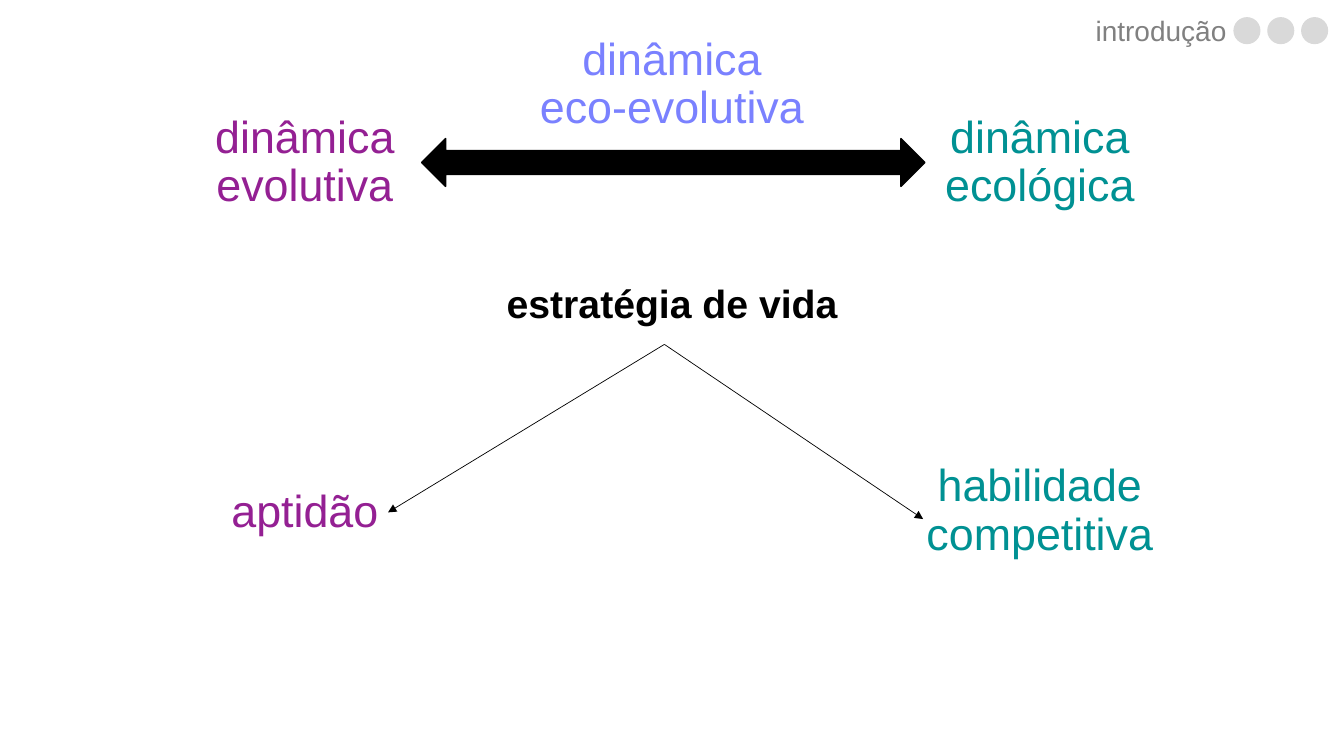
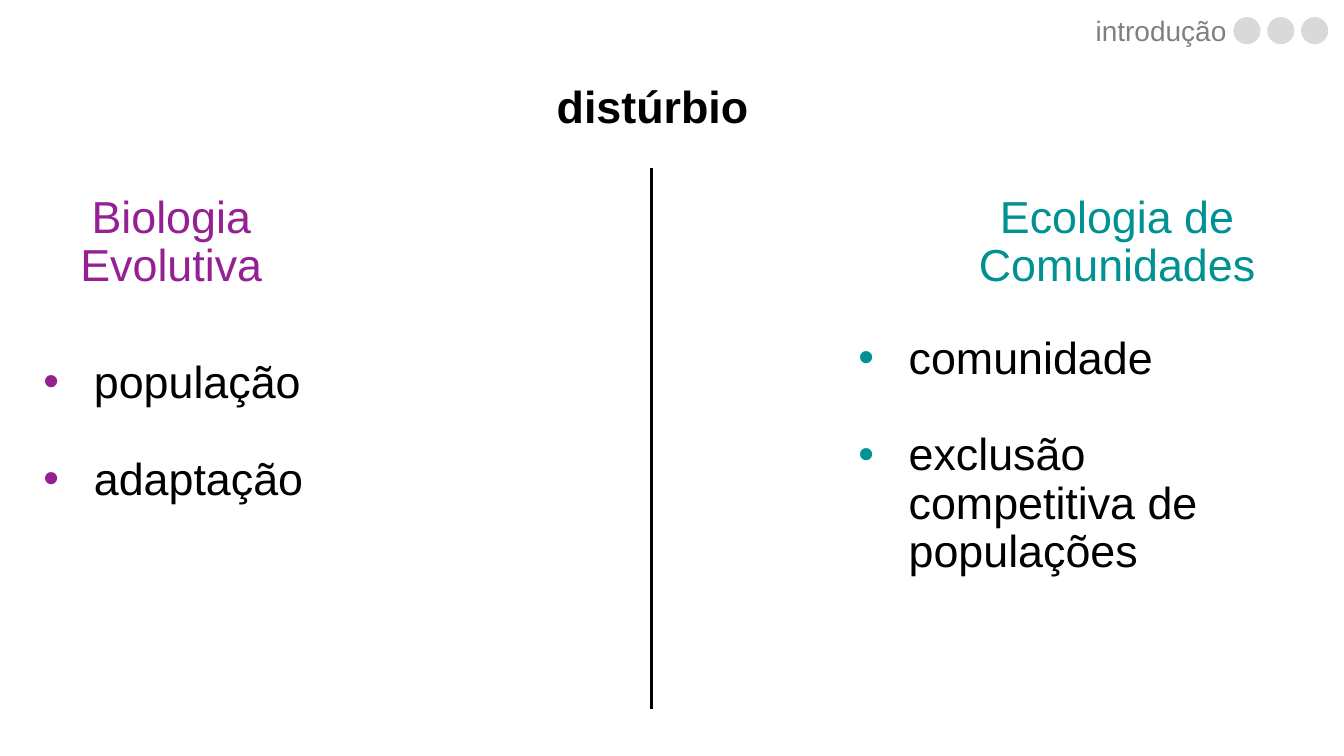
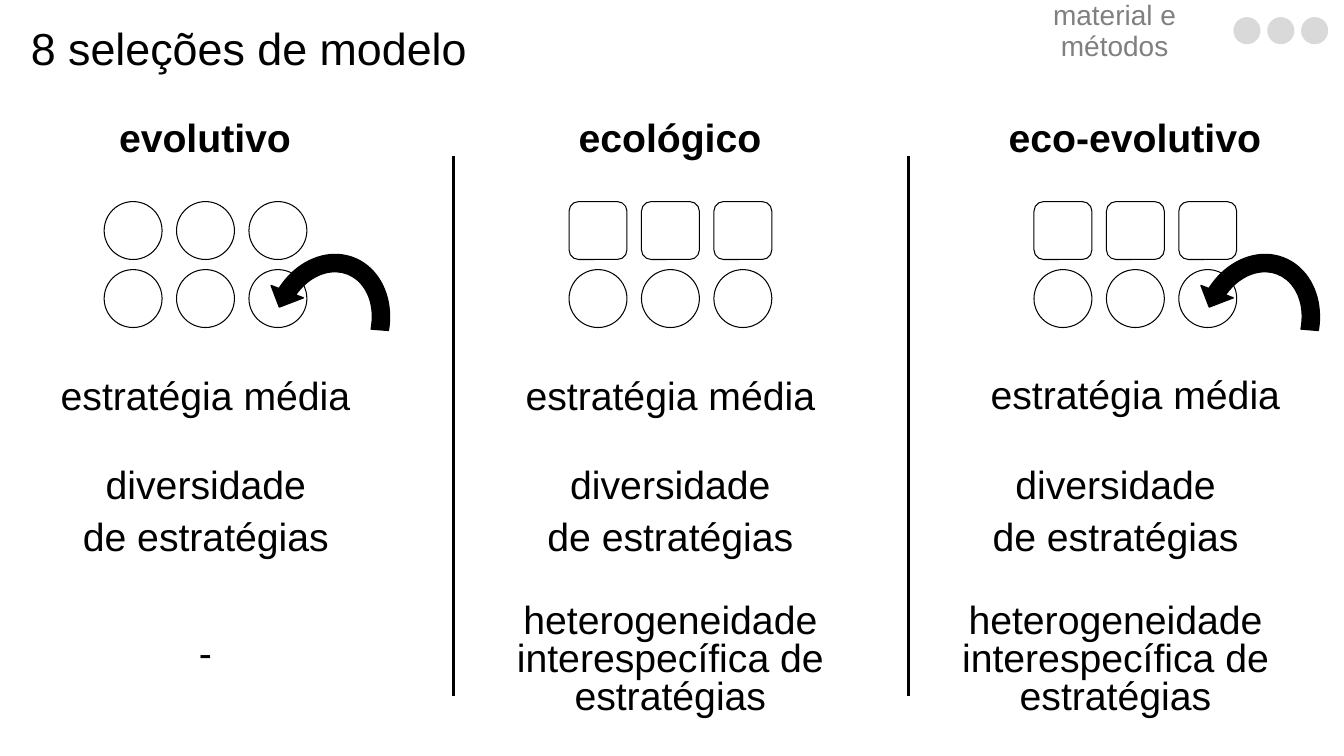
import pptx
import pptx.util
import pptx.dml.color
import pptx.enum.shapes
import pptx.enum.text
import pptx.oxml
import pptx.oxml.ns

HUES = {"ink": "000000", "grey": "808080", "dot": "D9D9D9",
        "evo": "942093", "eco": "009193", "both": "7A81FF"}
KIND = pptx.enum.shapes.MSO_SHAPE
ALIGN = pptx.enum.text.PP_ALIGN
ANCHOR = pptx.enum.text.MSO_ANCHOR
Pt = pptx.util.Pt

deck = pptx.Presentation()
deck.slide_width = pptx.util.Inches(13.3333)
deck.slide_height = pptx.util.Inches(7.5)
# The page is a grid of 160 columns by 90 rows of square cells.
CELL = deck.slide_width / 160


def write(slide, box, lines, hue="ink", size=32, bold=False, align=ALIGN.CENTER,
          anchor=ANCHOR.MIDDLE, lead=0.9, gap=0, dot=None):
    """Set lines of text in a box given in cells; dot is the bullet's hue."""
    frame = slide.shapes.add_textbox(*[round(v * CELL) for v in box]).text_frame
    for name, value in {"word_wrap": True, "vertical_anchor": anchor}.items():
        setattr(frame, name, value)
    for i, words in enumerate(lines):
        para = frame.add_paragraph() if i else frame.paragraphs[0]
        look = {"alignment": align, "line_spacing": lead, "space_before": Pt(gap if i else 0)}
        for name, value in look.items():
            setattr(para, name, value)
        if dot:
            props = para._p.get_or_add_pPr()
            props.set("marL", "457200")
            props.set("indent", "-457200")
            space = pptx.oxml.ns.nsdecls("a")
            for xml in (f'<a:buClr {space}><a:srgbClr val="{HUES[dot]}"/></a:buClr>',
                        f'<a:buFont {space} typeface="Arial"/>',
                        f'<a:buChar {space} char="•"/>'):
                props.append(pptx.oxml.parse_xml(xml))
        run = para.add_run()
        run.text = words
        for name, value in {"name": "Arial", "size": Pt(size), "bold": bold}.items():
            setattr(run.font, name, value)
        run.font.color.rgb = pptx.dml.color.RGBColor.from_string(HUES[hue])


def draw(slide, kind, box, fill=None, edge="ink", width=0):
    """Add a preset shape in a box given in cells; no fill leaves it open."""
    shape = slide.shapes.add_shape(kind, *[round(v * CELL) for v in box])
    shape.shadow.inherit = False
    if fill:
        shape.fill.solid()
        shape.fill.fore_color.rgb = pptx.dml.color.RGBColor.from_string(HUES[fill])
    else:
        shape.fill.background()
    shape.line.color.rgb = pptx.dml.color.RGBColor.from_string(HUES[edge])
    shape.line.width = Pt(width)
    return shape


# Shared header: section name and three dots
pages = []
for name, align in (("introdução", ALIGN.RIGHT), ("introdução", ALIGN.RIGHT),
                    ("material e métodos", ALIGN.CENTER)):
    page = deck.slides.add_slide(deck.slide_layouts[6])
    write(page, (118.2, 1, 29, 5.6), [name], "grey", 20, align=align)
    for i in range(3):
        draw(page, KIND.OVAL, (146.9 + 4.03 * i, 2.1, 3.1, 3.1), "dot", "dot")
    pages.append(page)
life, split, model = pages

# Life strategy
PAIR = (38.8, 17.4)
HEAD = (45.2, 23.9)
write(life, (104.4, 10.7, *PAIR), ["dinâmica ecológica"], "eco")
write(life, (16.9, 10.7, *PAIR), ["dinâmica evolutiva"], "evo")
draw(life, KIND.LEFT_RIGHT_ARROW, (50.2, 16.5, 59.9, 5.7), "ink", width=1)
write(life, (59.2, 0.2, 41.6, 19.8), ["dinâmica", "eco-evolutiva"], "both")
write(life, (57.4, 24.5, *HEAD), ["estratégia de vida"], size=28, bold=True)
write(life, (13.7, 49.1, *HEAD), ["aptidão"], "evo")
write(life, (104.4, 52.2, *PAIR), ["habilidade competitiva"], "eco")

# Disturbance
write(split, (55.1, 1, *HEAD), ["distúrbio"], bold=True)
for hue, left, title, box, items in (
        ("evo", 1, "Biologia Evolutiva", (4, 30.1, 74.6, 42.7),
         ["população", "adaptação"]),
        ("eco", 113.6, "Ecologia de Comunidades", (101, 30.1, 55.4, 48.5),
         ["comunidade", "exclusão competitiva de populações"])):
    write(split, (left, 20.2, *PAIR), [title], hue)
    write(split, box, items, align=ALIGN.LEFT, gap=34.5, dot=hue)

# Model selections
STEP = 55.35
TOP = {"size": 28, "anchor": ANCHOR.TOP}
write(model, (0, 2.6, 59.3, 11.8), ["8 seleções de modelo"], anchor=ANCHOR.TOP)
for i, (title, first, arrow, left, row) in enumerate((
        ("evolutivo", KIND.OVAL, True, 0.5, 44.3),
        ("ecológico", KIND.ROUNDED_RECTANGLE, False, 55.8, 44.3),
        ("eco-evolutivo", KIND.ROUNDED_RECTANGLE, True, 108.8, 44.1))):
    x = STEP * i
    write(model, (7.8 + x, 8, 33.2, 17.4), [title], size=28, bold=True)
    for j, kind in enumerate((first, KIND.OVAL)):
        for k in range(3):
            draw(model, kind, (12.4 + x + 8.62 * k, 24 + 8.1 * j, 6.9, 6.9))
    if arrow:
        bend = draw(model, KIND.CIRCULAR_ARROW, (30.8 + x, 29.1, 16.4, 19.3), "ink", width=1)
        bend.rotation = 200.9
        bend._element.spPr.xfrm.set("flipV", "1")
        for k, value in enumerate((0.125, 11.42, 204.58, 117.73, 0.125)):
            bend.adjustments[k] = value
    write(model, (3.4 + x, row, 42.1, 10.2), ["estratégia média"], **TOP)
    write(model, (left, 55.3, 48, 12.5), ["diversidade", "de estratégias"],
          lead=0.8, gap=10, **TOP)
    if i:
        write(model, (left, 71.4, 48, 16),
              ["heterogeneidade interespecífica de estratégias"], lead=0.8, **TOP)
    else:
        write(model, (3.4, 74.8, 42.1, 10.2), ["-"], **TOP)

# Lines and arrows
for page, ends, width, tip in (
        (life, (79.1, 41, 46.2, 61), 0.5, True),
        (life, (79.1, 41, 109.9, 61.8), 0.5, True),
        (split, (77.6, 20, 77.6, 84.4), 2.25, False),
        (model, (54, 18.6, 54, 82.9), 2.25, False),
        (model, (108.2, 18.6, 108.2, 82.9), 2.25, False)):
    rule = page.shapes.add_connector(pptx.enum.shapes.MSO_CONNECTOR.STRAIGHT,
                                     *[round(v * CELL) for v in ends])
    rule.line.color.rgb = pptx.dml.color.RGBColor.from_string(HUES["ink"])
    rule.line.width = Pt(width)
    if tip:
        tail = pptx.oxml.ns.qn("a:tailEnd")
        rule.line._get_or_add_ln().makeelement(tail)
        mark = pptx.oxml.parse_xml(f'<a:tailEnd {pptx.oxml.ns.nsdecls("a")} type="triangle"/>')
        rule.line._get_or_add_ln().append(mark)
    rule._element.spPr.append(
        pptx.oxml.parse_xml(f'<a:effectLst {pptx.oxml.ns.nsdecls("a")}/>'))

deck.save("out.pptx")
